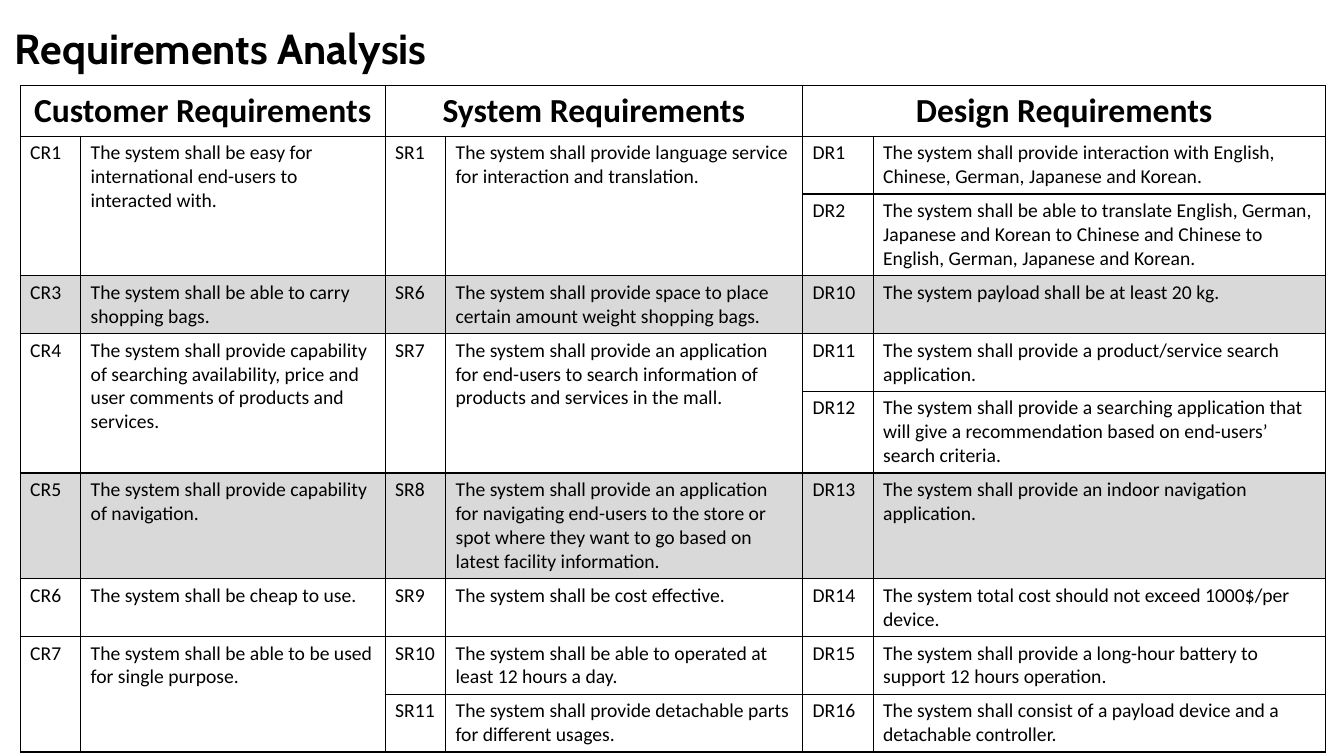
"""Build the requirements analysis slide."""
import pptx
import pptx.dml.color
import pptx.enum.text
import pptx.oxml
import pptx.oxml.ns
import pptx.util

RGBColor = pptx.dml.color.RGBColor
BLACK = RGBColor(0, 0, 0)
WHITE = RGBColor(255, 255, 255)
GREY = RGBColor(0xD9, 0xD9, 0xD9)
Inches = pptx.util.Inches

TITLE = "Requirements Analysis"
HEADS = ["Customer Requirements", "System Requirements", "Design Requirements"]
COLS = [0.6, 3.02, 0.6, 3.54, 0.7, 4.49]
SAME = ("", "")
ROWS = [
    (2, WHITE, ("CR1", "The system shall be easy for international end-users to interacted with."),
     ("SR1", "The system shall provide language service for interaction and translation."),
     ("DR1", "The system shall provide interaction with English, Chinese, German, Japanese and Korean.")),
    (3, WHITE, SAME, SAME,
     ("DR2", "The system shall be able to translate English, German, Japanese and Korean to Chinese "
      "and Chinese to English, German, Japanese and Korean.")),
    (2, GREY, ("CR3", "The system shall be able to carry shopping bags."),
     ("SR6", "The system shall provide space to place certain amount weight shopping bags."),
     ("DR10", "The system payload shall be at least 20 kg.")),
    (2, WHITE, ("CR4", "The system shall provide capability of searching availability, price and "
                "user comments of products and services."),
     ("SR7", "The system shall provide an application for end-users to search information of "
      "products and services in the mall."),
     ("DR11", "The system shall provide a product/service search application.")),
    (3, WHITE, SAME, SAME,
     ("DR12", "The system shall provide a searching application that will give a recommendation "
      "based on end-users’ search criteria.")),
    (4, GREY, ("CR5", "The system shall provide capability of navigation."),
     ("SR8", "The system shall provide an application for navigating end-users to the store or "
      "spot where they want to go based on latest facility information."),
     ("DR13", "The system shall provide an indoor navigation application.")),
    (2, WHITE, ("CR6", "The system shall be cheap to use."),
     ("SR9", "The system shall be cost effective."),
     ("DR14", "The system total cost should not exceed 1000$/per device.")),
    (2, WHITE, ("CR7", "The system shall be able to be used for single purpose."),
     ("SR10", "The system shall be able to operated at least 12 hours a day."),
     ("DR15", "The system shall provide a long-hour battery to support 12 hours operation.")),
    (2, WHITE, SAME,
     ("SR11", "The system shall provide detachable parts for different usages."),
     ("DR16", "The system shall consist of a payload device and a detachable controller.")),
]


def write(frame, text, size, bold, face="Calibri"):
    par = frame.paragraphs[0]
    par.text = text
    par.font.name, par.font.size = face, pptx.util.Pt(size)
    par.font.bold, par.font.color.rgb = bold, BLACK
    return par


def style(cell, fill):
    cell.fill.solid()
    cell.fill.fore_color.rgb = fill
    props = cell._tc.get_or_add_tcPr()
    for place, side in enumerate("LRTB"):
        props.insert(place, pptx.oxml.parse_xml(
            f'<a:ln{side} {pptx.oxml.ns.nsdecls("a")} w="12700"><a:solidFill>'
            f'<a:srgbClr val="{BLACK}"/></a:solidFill></a:ln{side}>'))


def main():
    deck = pptx.Presentation()
    deck.slide_width, deck.slide_height = Inches(13.33), Inches(7.5)
    slide = deck.slides.add_slide(deck.slide_layouts[6])

    box = slide.shapes.add_textbox(Inches(0.05), Inches(0.1), Inches(11.11), Inches(0.81))
    box.text_frame.word_wrap = True
    box.text_frame.vertical_anchor = pptx.enum.text.MSO_ANCHOR.MIDDLE
    write(box.text_frame, TITLE, 30, True, "Cabin").line_spacing = 0.9

    highs = [0.5] + [0.1 + 0.237 * row[0] for row in ROWS]
    table = slide.shapes.add_table(
        len(highs), len(COLS), Inches(0.2), Inches(0.85),
        Inches(sum(COLS)), Inches(sum(highs))).table
    table.first_row = table.horz_banding = False
    for col, wide in zip(table.columns, COLS):
        col.width = Inches(wide)
    for row, high in zip(table.rows, highs):
        row.height = Inches(high)

    fills = [WHITE] + [row[1] for row in ROWS]
    for y, fill in enumerate(fills):
        for x in range(len(COLS)):
            style(table.cell(y, x), fill)

    for i, head in enumerate(HEADS):
        cell = table.cell(0, 2 * i)
        cell.merge(table.cell(0, 2 * i + 1))
        par = write(cell.text_frame, head, 24, True)
        par.alignment = pptx.enum.text.PP_ALIGN.CENTER

    for y, (_, _, *pairs) in enumerate(ROWS, 1):
        for x, text in enumerate(sum(pairs, ())):
            cell = table.cell(y, x)
            if text:
                write(cell.text_frame, text, 14, False)
            else:
                table.cell(y - 1, x).merge(cell)
    deck.save("out.pptx")


if __name__ == "__main__":
    main()
